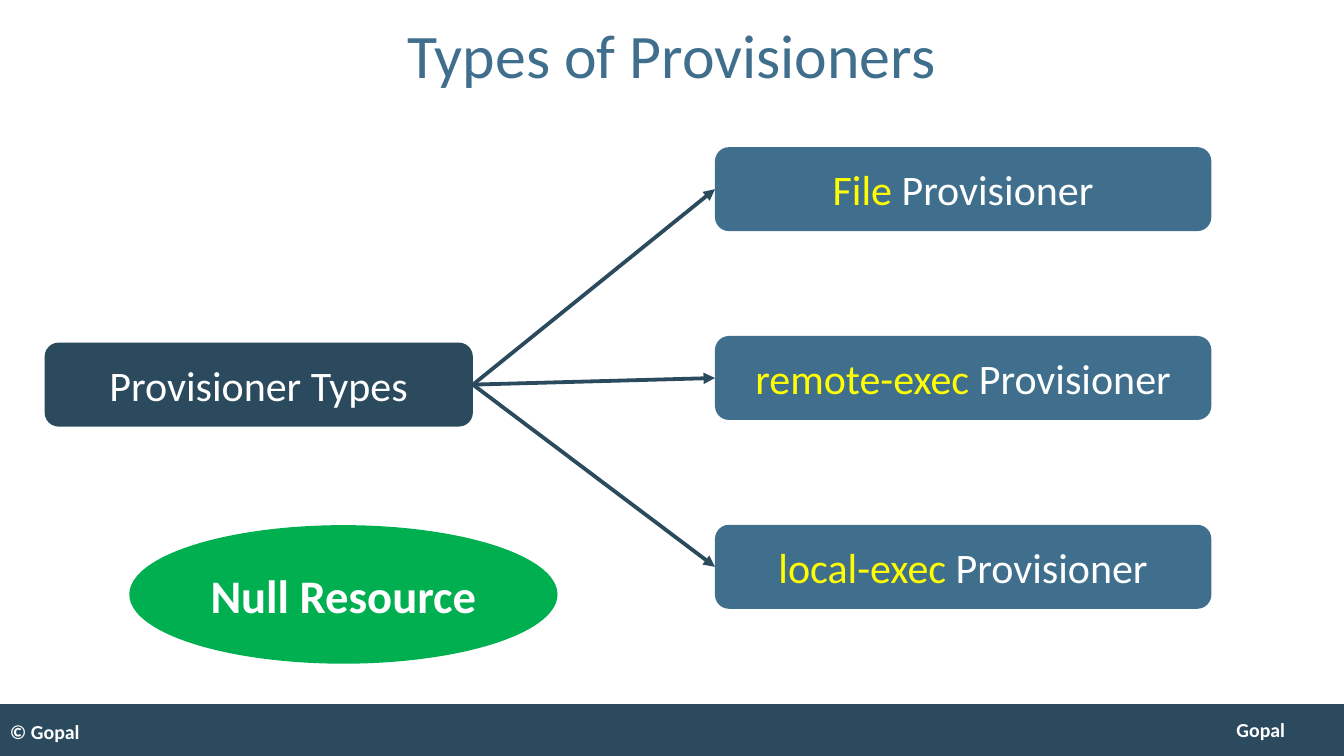
from dataclasses import dataclass

from lxml import etree
from pptx import Presentation
from pptx import util as u
from pptx.dml.color import RGBColor
from pptx.enum import shapes, text
from pptx.oxml import ns

COLORS = {
    "navy": "2B4A5E",
    "steel": "406F8D",
    "green": "00B050",
    "yellow": "FFFF00",
    "white": "FFFFFF",
}
FONT = "Calibri"
RECT = shapes.MSO_SHAPE.RECTANGLE
ROUNDED = shapes.MSO_SHAPE.ROUNDED_RECTANGLE
OVAL = shapes.MSO_SHAPE.OVAL
LEFT, CENTER = text.PP_ALIGN.LEFT, text.PP_ALIGN.CENTER
LEFT_SIDE, RIGHT_SIDE = 1, 3


@dataclass
class Area:
    """Position and size in centimetres."""
    left: float
    top: float
    width: float
    height: float

    def lengths(self) -> list:
        return [u.Cm(v) for v in (self.left, self.top, self.width, self.height)]


@dataclass
class Run:
    words: str
    color: str = "white"


@dataclass
class Node:
    area: Area
    kind: int
    fill: str
    runs: tuple = ()
    size: float = 36
    bold: bool = False


@dataclass
class FooterText:
    area: Area
    words: str
    align: int


def rgb(name: str) -> RGBColor:
    return RGBColor.from_string(COLORS[name])


def write(frame, runs, size: float, bold: bool = False, align: int = CENTER) -> None:
    frame_format = {
        "word_wrap": True,
        "auto_size": text.MSO_AUTO_SIZE.NONE,
        "vertical_anchor": text.MSO_ANCHOR.MIDDLE,
        "margin_left": u.Cm(0.3),
        "margin_right": u.Cm(0.3),
        "margin_top": u.Cm(0.15),
        "margin_bottom": u.Cm(0.15),
    }
    for name, value in frame_format.items():
        setattr(frame, name, value)
    paragraph = frame.paragraphs[0]
    paragraph.alignment = align
    for part in runs:
        run = paragraph.add_run()
        run.text = part.words
        for name, value in {"name": FONT, "size": u.Pt(size), "bold": bold}.items():
            setattr(run.font, name, value)
        run.font.color.rgb = rgb(part.color)


def draw_node(slide, node: Node):
    shape = slide.shapes.add_shape(node.kind, *node.area.lengths())
    shape.shadow.inherit = False
    shape.fill.solid()
    shape.fill.fore_color.rgb = rgb(node.fill)
    shape.line.fill.background()
    if node.runs:
        write(shape.text_frame, node.runs, node.size, node.bold)
    return shape


def draw_footer_text(slide, footer: FooterText) -> None:
    box = slide.shapes.add_textbox(*footer.area.lengths())
    write(box.text_frame, [Run(footer.words)], 17, True, footer.align)


def draw_arrow(slide, source, target) -> None:
    arrow = slide.shapes.add_connector(shapes.MSO_CONNECTOR.STRAIGHT, 0, 0, 0, 0)
    arrow.begin_connect(source, RIGHT_SIDE)
    arrow.end_connect(target, LEFT_SIDE)
    arrow.line.color.rgb = rgb("navy")
    arrow.line.width = u.Pt(3.25)
    etree.SubElement(arrow.line._get_or_add_ln(), ns.qn("a:tailEnd"), type="triangle")
    etree.SubElement(arrow._element.spPr, ns.qn("a:effectLst"))


def main() -> None:
    deck = Presentation()
    deck.slide_width, deck.slide_height = u.Cm(40.64), u.Cm(22.86)
    slide = deck.slides.add_slide(deck.slide_layouts[5])

    # Footer
    draw_node(slide, Node(Area(-0.05, 21.29, 40.69, 1.57), RECT, "navy"))
    for footer in (
        FooterText(Area(35.71, 21.44, 4.83, 1.22), "Gopal", CENTER),
        FooterText(Area(0, 21.51, 13.72, 1.22), "© Gopal", LEFT),
    ):
        draw_footer_text(slide, footer)

    # Title
    title = slide.shapes.title
    title.left, title.top, title.width, title.height = Area(2.79, 0.13, 35.05, 3.3).lengths()
    write(title.text_frame, [Run("Types of Provisioners", "steel")], 53)
    title.text_frame.paragraphs[0].line_spacing = 0.9

    # Provisioner types, evenly spaced on the right
    root = draw_node(slide, Node(Area(1.35, 10.36, 12.95, 2.54), ROUNDED, "navy",
                                 (Run("Provisioner Types"),)))
    provisioners = [
        draw_node(slide, Node(Area(21.62, 4.45 + 5.71 * row, 15.01, 2.54), ROUNDED, "steel",
                              (Run(name, "yellow"), Run(" Provisioner"))))
        for row, name in enumerate(("File", "remote-exec", "local-exec"))
    ]
    for provisioner in provisioners:
        draw_arrow(slide, root, provisioner)

    # Null resource
    draw_node(slide, Node(Area(3.91, 15.88, 12.95, 4.19), OVAL, "green",
                          (Run("Null Resource"),), 40, True))

    deck.save("out.pptx")


if __name__ == "__main__":
    main()
